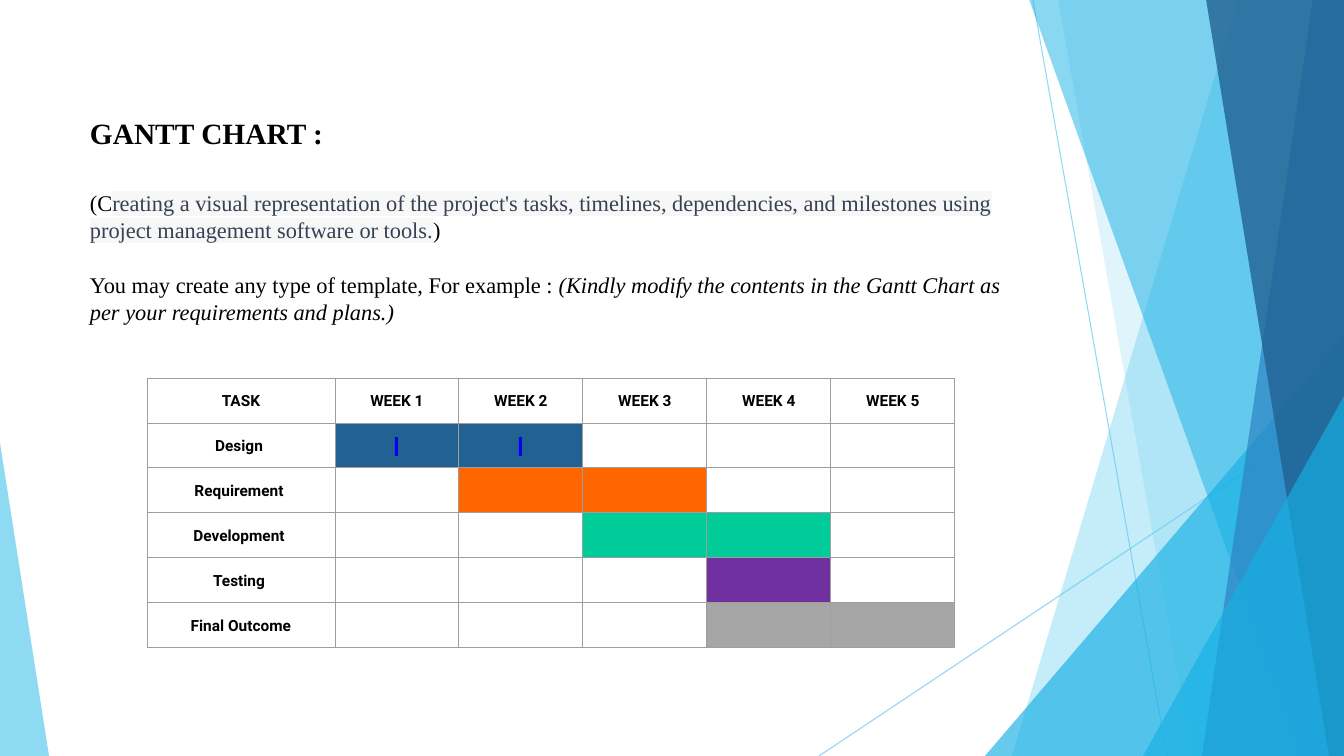
from dataclasses import dataclass, field
from typing import Any

from lxml.etree import SubElement
from pptx import Presentation
from pptx.dml.color import RGBColor
from pptx.enum.shapes import MSO_CONNECTOR as Connector, MSO_SHAPE as Preset
from pptx.enum.text import MSO_ANCHOR as Anchor, PP_ALIGN as Align
from pptx.oxml.ns import qn
from pptx.util import Pt

EMU_PER_PX = 914400 / 100.8
WIDTH, HEIGHT = 1344, 756
SERIF, SANS = "Times New Roman", "Roboto"
SKY, CYAN, BLUE, NAVY = "5FCBEF", "17B0E4", "2E83C3", "226292"


@dataclass
class Ray:
    start: tuple[int, int]
    end: tuple[int, int]


@dataclass
class Facet:
    """Band with a slanted left edge that reaches the right side of the slide."""
    top_x: int
    bottom_x: int
    color: str
    opacity: int


@dataclass
class Corner:
    """Triangle standing on the bottom edge, with its tip at 0 (left) to 1 (right)."""
    left: int
    top: int
    width: int
    tip: int
    color: str
    opacity: int


@dataclass
class Phrase:
    text: str
    color: str = "000000"
    highlight: str = ""
    font: dict[str, Any] = field(default_factory=dict)


@dataclass
class Task:
    name: str
    first_week: int
    last_week: int
    color: str


BACKDROP = [
    Ray((1033, 0), (1167, HEIGHT)),
    Ray((WIDTH, 406), (819, HEIGHT)),
    Facet(1238, 1012, SKY, 36),
    Facet(1058, 1192, SKY, 20),
    Corner(985, 336, 359, 1, CYAN, 66),
    Facet(1029, 1301, CYAN, 50),
    Facet(1313, 1202, BLUE, 70),
    Facet(1206, 1329, NAVY, 80),
    Corner(1143, 396, 201, 1, CYAN, 66),
    Corner(0, 443, 49, 0, SKY, 70),
]
TITLE = [[Phrase("GANTT CHART :", font={"bold": True})]]
GUIDANCE = [
    [Phrase("(C"),
     Phrase("reating a visual representation of the project's tasks, timelines, dependencies, "
            "and milestones using project management software or tools.", "374151", "F7F7F8"),
     Phrase(")")],
    [Phrase("You may create any type of template, For example : "),
     Phrase("(Kindly modify the contents in the Gantt Chart as per your requirements "
            "and plans.)", font={"italic": True})],
]
WEEKS = 5
TASKS = [
    Task("Design ", 1, 2, NAVY),
    Task("Requirement ", 2, 3, "FF6600"),
    Task("Development ", 3, 4, "00CC99"),
    Task("Testing ", 4, 4, "7030A0"),
    Task("Final Outcome", 4, 5, "A6A6A6"),
]
CHART_LEFT, CHART_TOP = 147, 378
TASK_WIDTH, WEEK_WIDTH, ROW_HEIGHT = 188, 124, 45


def px(length: float) -> int:
    return round(length * EMU_PER_PX)


def rgb(color: str) -> RGBColor:
    return RGBColor.from_string(color)


def apply(target, values: dict[str, Any]) -> None:
    for name, value in values.items():
        setattr(target, name, value)


def set_opacity(fill_owner, percent: int) -> None:
    tint = next(fill_owner.iter(qn("a:srgbClr")))
    SubElement(tint, qn("a:alpha"), val=str(percent * 1000))


def paint(shape, color: str, opacity: int = 100) -> None:
    shape.shadow.inherit = False
    shape.fill.solid()
    shape.fill.fore_color.rgb = rgb(color)
    shape.line.fill.background()
    if opacity < 100:
        set_opacity(shape._element.spPr, opacity)


def draw_ray(shapes, ray: Ray) -> None:
    line = shapes.add_connector(Connector.STRAIGHT, *map(px, ray.start + ray.end))
    line.line.color.rgb = rgb(SKY)
    line.line.width = Pt(0.75)
    set_opacity(line._element.spPr, 70)
    SubElement(line._element.spPr, qn("a:effectLst"))


def draw_facet(shapes, facet: Facet) -> None:
    outline = shapes.build_freeform(facet.top_x, -1, scale=EMU_PER_PX)
    outline.add_line_segments([(WIDTH, -1), (WIDTH, HEIGHT), (facet.bottom_x, HEIGHT)])
    paint(outline.convert_to_shape(), facet.color, facet.opacity)


def draw_corner(shapes, corner: Corner) -> None:
    triangle = shapes.add_shape(Preset.ISOSCELES_TRIANGLE, px(corner.left), px(corner.top),
                                px(corner.width), px(HEIGHT - corner.top))
    triangle.adjustments[0] = corner.tip
    paint(triangle, corner.color, corner.opacity)


def write(paragraph, phrase: Phrase, family: str, size: float) -> None:
    run = paragraph.add_run()
    run.text = phrase.text
    apply(run.font, {"name": family, "size": Pt(size), **phrase.font})
    run.font.color.rgb = rgb(phrase.color)
    if phrase.highlight:
        properties = run._r.get_or_add_rPr()
        marker = SubElement(properties, qn("a:highlight"))
        SubElement(marker, qn("a:srgbClr"), val=phrase.highlight)
        properties.find(qn("a:solidFill")).addnext(marker)


def draw_text(shapes, box: tuple[int, int, int, int], paragraphs: list[list[Phrase]],
              size: float, inset_top: int) -> None:
    frame = shapes.add_textbox(*map(px, box)).text_frame
    apply(frame, {"word_wrap": True, "vertical_anchor": Anchor.TOP,
                  "margin_top": px(inset_top)})
    for index, phrases in enumerate(paragraphs):
        paragraph = frame.add_paragraph() if index else frame.paragraphs[0]
        if index:
            paragraph.space_before = Pt(20)
        for phrase in phrases:
            write(paragraph, phrase, SERIF, size)


def border(cell) -> None:
    properties = cell._tc.get_or_add_tcPr()
    for index, side in enumerate(("lnL", "lnR", "lnT", "lnB")):
        edge = SubElement(properties, qn(f"a:{side}"), w=str(Pt(0.75)))
        SubElement(SubElement(edge, qn("a:solidFill")), qn("a:srgbClr"), val="9E9E9E")
        properties.insert(index, edge)


def label(cell, text: str) -> None:
    apply(cell, {"vertical_anchor": Anchor.MIDDLE, "margin_left": px(1),
                 "margin_right": px(1), "margin_top": px(1), "margin_bottom": 0})
    paragraph = cell.text_frame.paragraphs[0]
    paragraph.alignment = Align.CENTER
    write(paragraph, Phrase(text, font={"bold": True}), SANS, 11)


def draw_gantt(shapes) -> None:
    rows, columns = len(TASKS) + 1, WEEKS + 1
    table = shapes.add_table(rows, columns, px(CHART_LEFT), px(CHART_TOP),
                             px(TASK_WIDTH + WEEKS * WEEK_WIDTH), px(rows * ROW_HEIGHT)).table
    apply(table, {"first_row": False, "horz_banding": False})
    for index, column in enumerate(table.columns):
        column.width = px(WEEK_WIDTH if index else TASK_WIDTH)
    for row in table.rows:
        row.height = px(ROW_HEIGHT)
    for cell in table.iter_cells():
        cell.fill.background()
        border(cell)
    label(table.cell(0, 0), "TASK")
    for week in range(1, columns):
        label(table.cell(0, week), f"WEEK {week}")
    for row, task in enumerate(TASKS, start=1):
        label(table.cell(row, 0), task.name)
        for week in range(task.first_week, task.last_week + 1):
            bar = table.cell(row, week).fill
            bar.solid()
            bar.fore_color.rgb = rgb(task.color)


def draw_design_marks(shapes) -> None:
    for week in range(TASKS[0].first_week, TASKS[0].last_week + 1):
        left = CHART_LEFT + TASK_WIDTH + (week - 1) * WEEK_WIDTH + 60
        mark = shapes.add_shape(Preset.RECTANGLE, px(left), px(437), px(3), px(19))
        paint(mark, "0000EE")


def main() -> None:
    deck = Presentation()
    apply(deck, {"slide_width": px(WIDTH), "slide_height": px(HEIGHT)})
    shapes = deck.slides.add_slide(deck.slide_layouts[6]).shapes
    painters = {Ray: draw_ray, Facet: draw_facet, Corner: draw_corner}
    for part in BACKDROP:
        painters[type(part)](shapes, part)
    draw_text(shapes, (80, 115, 1159, 56), TITLE, 21, 0)
    draw_text(shapes, (80, 181, 942, 465), GUIDANCE, 16, 8)
    draw_gantt(shapes)
    draw_design_marks(shapes)
    deck.save("out.pptx")


if __name__ == "__main__":
    main()
